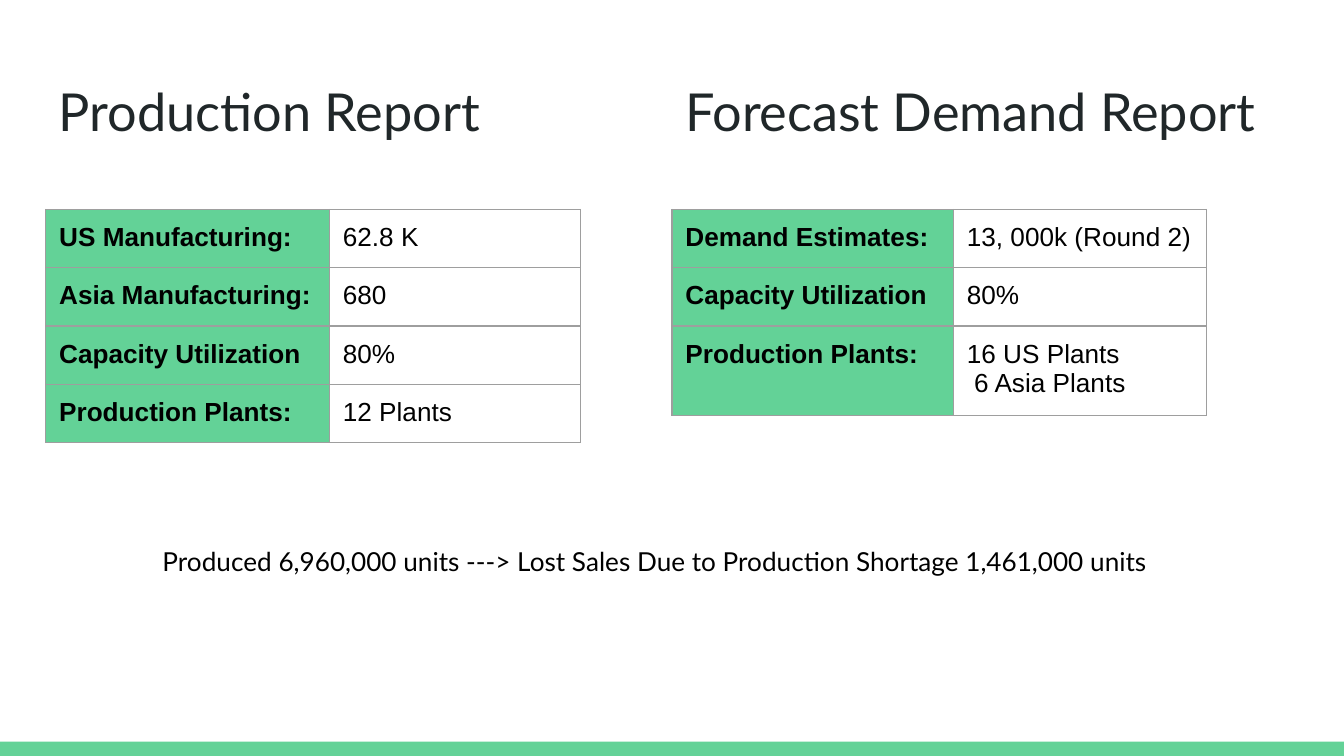
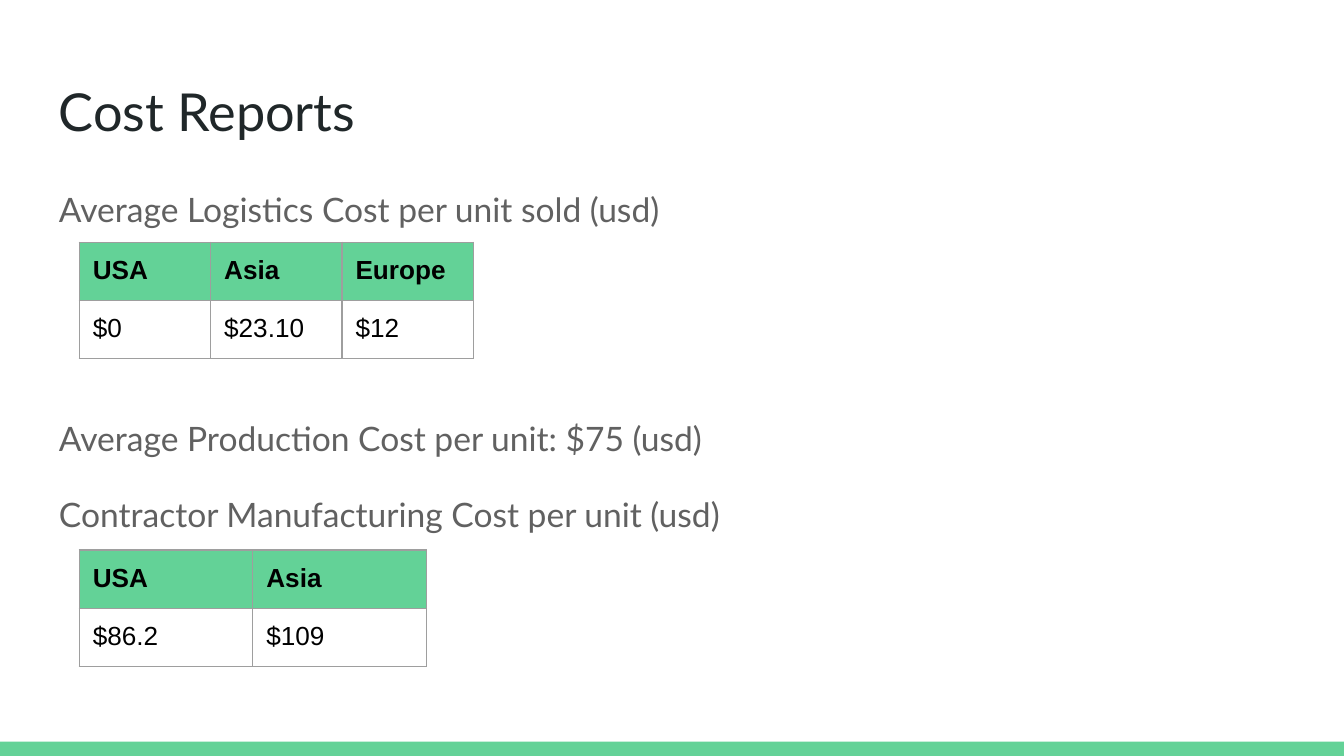
"""Build the production, demand and cost report slides."""
from lxml import etree
from pptx import Presentation
from pptx.dml.color import RGBColor
from pptx.enum.shapes import MSO_SHAPE
from pptx.enum.text import MSO_ANCHOR
from pptx.oxml.ns import qn
from pptx.util import Pt

RECTANGLE = MSO_SHAPE.RECTANGLE
TOP = MSO_ANCHOR.TOP
WIDTH, HEIGHT, BAND_HEIGHT = 720, 405, 7.7
INSET = 7.2
LEFT, MIDDLE = 24.5, 360
TITLE_TOP, TITLE_HEIGHT = 35.4, 45
REPORT_TOP, COST_LEFT = 112.2, 42.5
ROW_HEIGHT, EXTRA_LINE = 30.1, 15.4
GREEN, INK, GRAY, BLACK, BORDER = "63D297", "202729", "616161", "000000", "9E9E9E"

REPORTS = [
    {"title": "Production Report", "left": LEFT, "columns": (152, 134.6), "rows": [
        ("US Manufacturing:", "62.8 K"),
        ("Asia Manufacturing:", "680"),
        ("Capacity Utilization", "80%"),
        ("Production Plants:", "12 Plants"),
    ]},
    {"title": "Forecast Demand Report", "left": MIDDLE, "columns": (150.8, 135.4), "rows": [
        ("Demand Estimates:", "13, 000k (Round 2)"),
        ("Capacity Utilization", "80%"),
        ("Production Plants:", "16 US Plants\n 6 Asia Plants"),
    ]},
]
SALES_NOTE = ("Produced 6,960,000 units ---> Lost Sales Due to "
              "Production Shortage 1,461,000 units")
COST_TITLE = "Cost Reports"
COST_LINES = [
    ("Average Logistics Cost per unit sold (usd)", 0),
    ("Average Production Cost per unit: $75 (usd)", 98),
    ("Contractor Manufacturing Cost per unit (usd)", 16),
]
COST_TABLES = [
    {"top": 129.7, "columns": (70.4,) * 3,
     "rows": [("USA", "Asia", "Europe"), ("$0", "$23.10", "$12")]},
    {"top": 294.7, "columns": (93,) * 2,
     "rows": [("USA", "Asia"), ("$86.2", "$109")]},
]


def color(value):
    return RGBColor.from_string(value)


def style(paragraph, size, name, value, bold=False):
    font = paragraph.font
    font.size, font.name, font.bold = Pt(size), name, bold
    font.color.rgb = color(value)


def set_insets(target):
    target.margin_left = target.margin_right = Pt(INSET)
    target.margin_top = target.margin_bottom = Pt(INSET)
    target.vertical_anchor = TOP


def add_text(slide, box, lines, size, value, spacing=None):
    frame = slide.shapes.add_textbox(*map(Pt, box)).text_frame
    frame.word_wrap = True
    set_insets(frame)
    frame.text = "\n".join(text for text, _ in lines)
    for paragraph, (_, before) in zip(frame.paragraphs, lines):
        style(paragraph, size, "Lato", value)
        paragraph.space_before = Pt(before)
        if spacing:
            paragraph.line_spacing = spacing


def add_title(slide, text, left, width):
    add_text(slide, (left, TITLE_TOP, width, TITLE_HEIGHT), [(text, 0)], 28, INK)


def add_borders(cell):
    properties = cell._tc.get_or_add_tcPr()
    for side in ("a:lnL", "a:lnR", "a:lnT", "a:lnB"):
        line = etree.SubElement(properties, qn(side), w=str(Pt(0.75)))
        fill = etree.SubElement(line, qn("a:solidFill"))
        etree.SubElement(fill, qn("a:srgbClr"), val=BORDER)


def add_table(slide, left, top, columns, rows, is_header):
    heights = [ROW_HEIGHT + EXTRA_LINE * max(text.count("\n") for text in row)
               for row in rows]
    table = slide.shapes.add_table(len(rows), len(columns), Pt(left), Pt(top),
                                   Pt(sum(columns)), Pt(sum(heights))).table
    table.first_row = table.horz_banding = False
    for column, width in zip(table.columns, columns):
        column.width = Pt(width)
    for row, height in zip(table.rows, heights):
        row.height = Pt(height)
    for row_index, row in enumerate(rows):
        for column_index, text in enumerate(row):
            cell = table.cell(row_index, column_index)
            header = is_header(row_index, column_index)
            set_insets(cell)
            add_borders(cell)
            if header:
                cell.fill.solid()
                cell.fill.fore_color.rgb = color(GREEN)
            else:
                cell.fill.background()
            cell.text = text
            for paragraph in cell.text_frame.paragraphs:
                style(paragraph, 14, "Arial", BLACK, header)


def new_slide(presentation):
    slide = presentation.slides.add_slide(presentation.slide_layouts[6])
    band = slide.shapes.add_shape(RECTANGLE, 0, Pt(HEIGHT - BAND_HEIGHT),
                                  Pt(WIDTH), Pt(BAND_HEIGHT))
    band.shadow.inherit = False
    band.fill.solid()
    band.fill.fore_color.rgb = color(GREEN)
    band.line.fill.background()
    return slide


def build_reports(presentation):
    slide = new_slide(presentation)
    for report in REPORTS:
        add_title(slide, report["title"], report["left"], MIDDLE - LEFT)
        add_table(slide, report["left"], REPORT_TOP, report["columns"],
                  report["rows"], lambda row, column: column == 0)
    add_text(slide, (80, 285.2, 592, 38), [(SALES_NOTE, 0)], 14, BLACK)


def build_costs(presentation):
    slide = new_slide(presentation)
    add_title(slide, COST_TITLE, LEFT, WIDTH - 2 * LEFT)
    add_text(slide, (LEFT, 90.7, 577.5, 299), COST_LINES, 18, GRAY, 1.15)
    for costs in COST_TABLES:
        add_table(slide, COST_LEFT, costs["top"], costs["columns"],
                  costs["rows"], lambda row, column: row == 0)


presentation = Presentation()
presentation.slide_width, presentation.slide_height = Pt(WIDTH), Pt(HEIGHT)
build_reports(presentation)
build_costs(presentation)
presentation.save("out.pptx")
